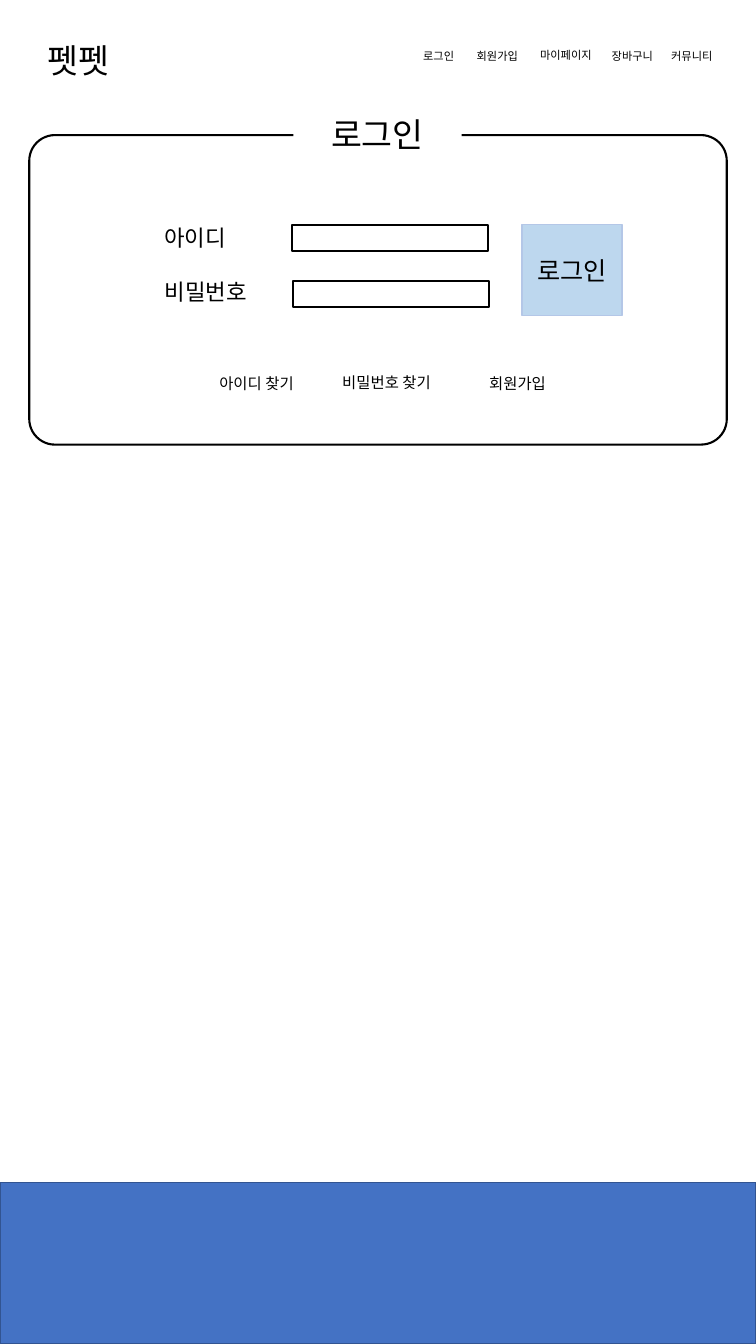
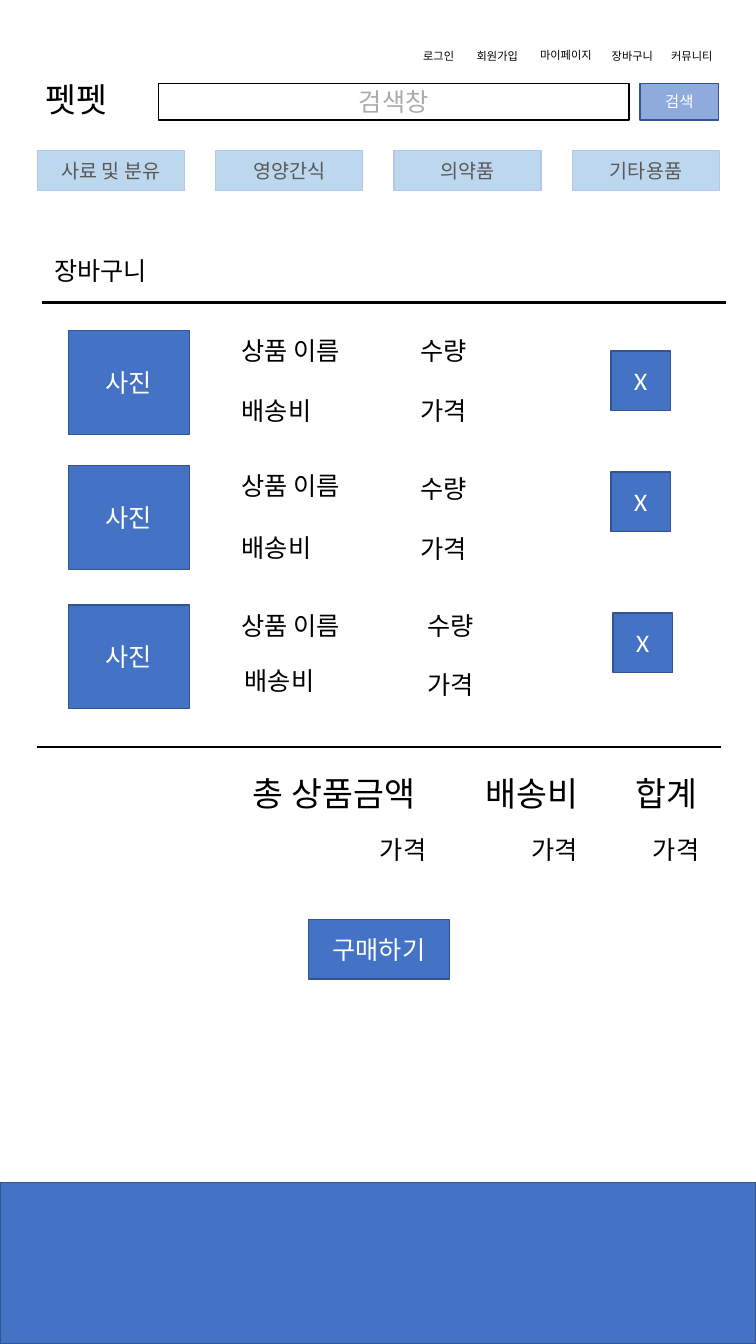
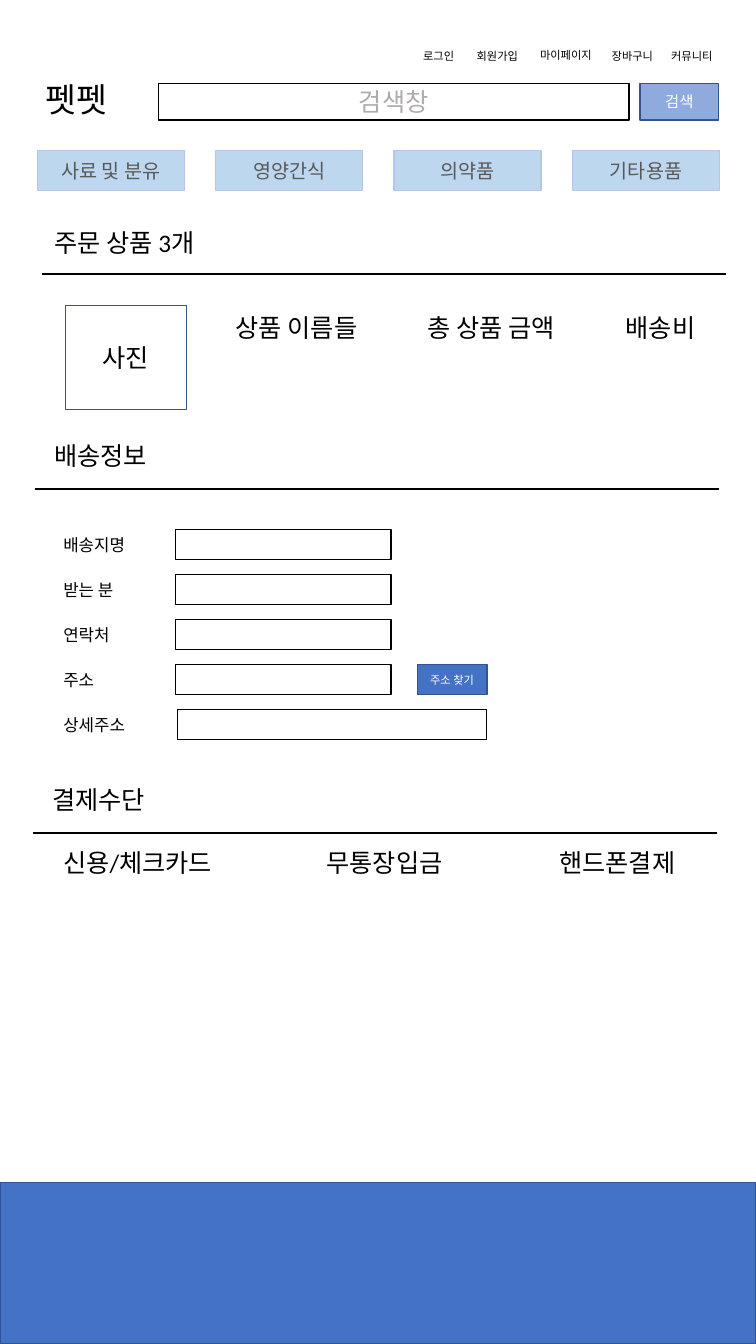
"""Builds three wireframe pages of a pet supplies shop: login, cart and order."""
from dataclasses import dataclass

from lxml import etree
from pptx import Presentation
from pptx import util as u
from pptx.dml.color import RGBColor
from pptx.enum import shapes, text
from pptx.oxml.ns import qn


@dataclass(frozen=True)
class Theme:
    font: str = "Calibri"
    brand_font: str = "Noto Sans CJK KR"
    black: str = "000000"
    white: str = "FFFFFF"
    blue: str = "4472C4"
    navy: str = "325491"
    periwinkle: str = "8FAADC"
    sky: str = "BDD7EE"
    sky_edge: str = "B4C7E7"
    gray: str = "595959"
    hint: str = "AFABAB"
    heading: int = 24
    body: int = 18
    label: int = 16
    category: int = 14
    field: int = 12
    link: int = 11
    menu: int = 8
    thin: float = 1
    medium: float = 1.5
    thick: float = 1.75


THEME = Theme()
LEFT, CENTER = text.PP_ALIGN.LEFT, text.PP_ALIGN.CENTER
TOP, MIDDLE = text.MSO_ANCHOR.TOP, text.MSO_ANCHOR.MIDDLE


class Page:
    def __init__(self, presentation):
        self.slide = presentation.slides.add_slide(presentation.slide_layouts[5])
        self.box(0, 11.73, 7.5, 1.6, fill=THEME.blue, line=THEME.navy)

    def set_text(self, shape, words, size, color, align, anchor, font=THEME.font):
        frame = shape.text_frame
        frame.word_wrap = True
        frame.vertical_anchor = anchor
        frame.text = words
        paragraph = frame.paragraphs[0]
        paragraph.alignment = align
        paragraph.font.size = u.Pt(size)
        paragraph.font.name = font
        paragraph.font.color.rgb = RGBColor.from_string(color)

    def title(self, words, left, top, width, height, size=THEME.body,
              align=LEFT, anchor=TOP, fill=None):
        shape = self.slide.shapes.title
        shape.left, shape.top = u.Inches(left), u.Inches(top)
        shape.width, shape.height = u.Inches(width), u.Inches(height)
        self.set_text(shape, words, size, THEME.black, align, anchor)
        shape.text_frame.auto_size = text.MSO_AUTO_SIZE.NONE
        if fill:
            shape.fill.solid()
            shape.fill.fore_color.rgb = RGBColor.from_string(fill)
        shape.element.getparent().append(shape.element)

    def label(self, words, left, top, width, height=0.4, size=THEME.body,
              align=LEFT, font=THEME.font):
        shape = self.slide.shapes.add_textbox(
            u.Inches(left), u.Inches(top), u.Inches(width), u.Inches(height))
        self.set_text(shape, words, size, THEME.black, align, TOP, font)
        shape.text_frame.auto_size = text.MSO_AUTO_SIZE.SHAPE_TO_FIT_TEXT

    def box(self, left, top, width, height, words="", fill=None, line=THEME.black,
            weight=THEME.thin, size=THEME.body, color=THEME.white, radius=None):
        kind = shapes.MSO_SHAPE.ROUNDED_RECTANGLE if radius else shapes.MSO_SHAPE.RECTANGLE
        shape = self.slide.shapes.add_shape(
            kind, u.Inches(left), u.Inches(top), u.Inches(width), u.Inches(height))
        shape.shadow.inherit = False
        if radius:
            shape.adjustments[0] = radius
        if fill:
            shape.fill.solid()
            shape.fill.fore_color.rgb = RGBColor.from_string(fill)
        else:
            shape.fill.background()
        shape.line.color.rgb = RGBColor.from_string(line)
        shape.line.width = u.Pt(weight)
        if words:
            self.set_text(shape, words, size, color, CENTER, MIDDLE)

    def button(self, words, left, top, width, height, fill=THEME.blue, size=THEME.body):
        self.box(left, top, width, height, words, fill, THEME.navy, size=size)

    def rule(self, left, top):
        line = self.slide.shapes.add_connector(
            shapes.MSO_CONNECTOR.STRAIGHT, u.Inches(left), u.Inches(top),
            u.Inches(left + 6.78), u.Inches(top))
        line.line.color.rgb = RGBColor.from_string(THEME.black)
        line.line.width = u.Pt(THEME.thick)
        etree.SubElement(line.element.spPr, qn("a:effectLst"))

    def menu(self, brand_left, brand_top):
        self.label("펫펫", brand_left, brand_top, 2.06, 0.5, THEME.heading,
                   font=THEME.brand_font)
        for words, left, top, width in (
                ("로그인", 4.1, 0.44, 0.56), ("회원가입", 4.63, 0.44, 0.69),
                ("마이페이지", 5.26, 0.43, 0.76), ("장바구니", 5.97, 0.44, 0.69),
                ("커뮤니티", 6.56, 0.44, 0.69)):
            self.label(words, left, top, width, 0.24, THEME.menu)

    def shop_header(self):
        self.menu(0.35, 0.73)
        self.box(1.57, 0.83, 4.67, 0.36, "검색창", color=THEME.hint)
        self.button("검색", 6.35, 0.83, 0.78, 0.36, THEME.periwinkle, THEME.link)
        categories = ("사료 및 분유", "영양간식", "의약품", "기타용품")
        for column, words in enumerate(categories):
            self.box(0.37 + 1.77 * column, 1.49, 1.46, 0.4, words, THEME.sky,
                     THEME.sky_edge, size=THEME.category, color=THEME.gray)


def build_login(presentation):
    page = Page(presentation)
    page.menu(0.37, 0.35)
    page.box(0.29, 1.34, 6.92, 3.07, weight=THEME.medium, radius=0.083)
    page.title("로그인", 2.91, 0.94, 1.67, 0.77, THEME.heading, CENTER, MIDDLE, THEME.white)
    page.label("아이디", 1.4, 2.17, 1.07, 0.37, THEME.label, CENTER)
    page.label("비밀번호", 1.4, 2.71, 1.28, 0.37, THEME.label, CENTER)
    for left, top in ((2.9, 2.23), (2.91, 2.79)):
        page.box(left, top, 1.94, 0.26, weight=THEME.medium)
    page.box(5.18, 2.23, 0.99, 0.9, "로그인", THEME.sky, THEME.sky_edge, color=THEME.black)
    for words, left, top, width in (
            ("아이디 찾기", 2.04, 3.66, 1.01), ("비밀번호 찾기", 3.21, 3.65, 1.25),
            ("회원가입", 4.63, 3.66, 1.01)):
        page.label(words, left, top, width, 0.29, THEME.link, CENTER)


def build_cart(presentation):
    page = Page(presentation)
    page.shop_header()
    page.title("장바구니", 0.44, 2.48, 1.43, 0.4)
    page.rule(0.42, 3)
    for top, fee_left, fee_top, count_left, count_top, remove_left, remove_top in (
            (3.28, 2.3, 3.87, 4.07, 3.28, 6.06, 3.48),
            (4.62, 2.3, 5.23, 4.07, 4.65, 6.06, 4.68),
            (6, 2.33, 6.55, 4.14, 6, 6.08, 6.08)):
        page.button("사진", 0.68, top, 1.2, 1.03)
        page.label("상품 이름", 2.3, top, 1.35)
        page.label("배송비", fee_left, fee_top, 1.35)
        page.label("수량", count_left, count_top, 1.35)
        page.label("가격", count_left, count_top + 0.59, 1.35)
        page.button("X", remove_left, remove_top, 0.59, 0.59)
    page.rule(0.37, 7.41)
    for words, left, width, price_left in (
            ("총 상품금액", 2.41, 2.09, 3.67), ("배송비", 4.72, 2.09, 5.17),
            ("합계", 6.21, 0.87, 6.38)):
        page.label(words, left, 7.62, width, 0.5, THEME.heading)
        page.label("가격", price_left, 8.23, 0.86)
    page.button("구매하기", 3.06, 9.12, 1.4, 0.59)


def build_order(presentation):
    page = Page(presentation)
    page.shop_header()
    page.title("주문 상품 3개", 0.44, 2.2, 1.79, 0.4)
    page.rule(0.42, 2.72)
    page.box(0.65, 3.03, 1.2, 1.03, "사진", line=THEME.navy, color=THEME.black)
    for words, left, width in (
            ("상품 이름들", 2.24, 1.51), ("총 상품 금액", 4.14, 1.61), ("배송비", 6.11, 1.09)):
        page.label(words, left, 3.05, width)

    page.label("배송정보", 0.44, 4.32, 1.79)
    page.rule(0.35, 4.85)
    fields = ("배송지명", "받는 분", "연락처", "주소", "상세주소")
    for row, words in enumerate(fields):
        top = 5.25 + 0.447 * row
        left, width = (1.76, 3.07) if words == "상세주소" else (1.74, 2.14)
        page.label(words, 0.53, top, 1.1, 0.3, THEME.field)
        page.box(left, top, width, 0.3)
    page.button("주소 찾기", 4.14, 6.59, 0.69, 0.3, size=THEME.menu)

    page.label("결제수단", 0.42, 7.73, 1.79)
    page.rule(0.33, 8.26)
    for words, left in (("신용/체크카드", 0.44), ("무통장입금", 2.89), ("핸드폰결제", 5.2)):
        page.label(words, left, 8.35, 1.85, align=CENTER)


presentation = Presentation()
presentation.slide_width, presentation.slide_height = u.Inches(7.5), u.Inches(13.33)
for build in (build_login, build_cart, build_order):
    build(presentation)
presentation.save("out.pptx")
